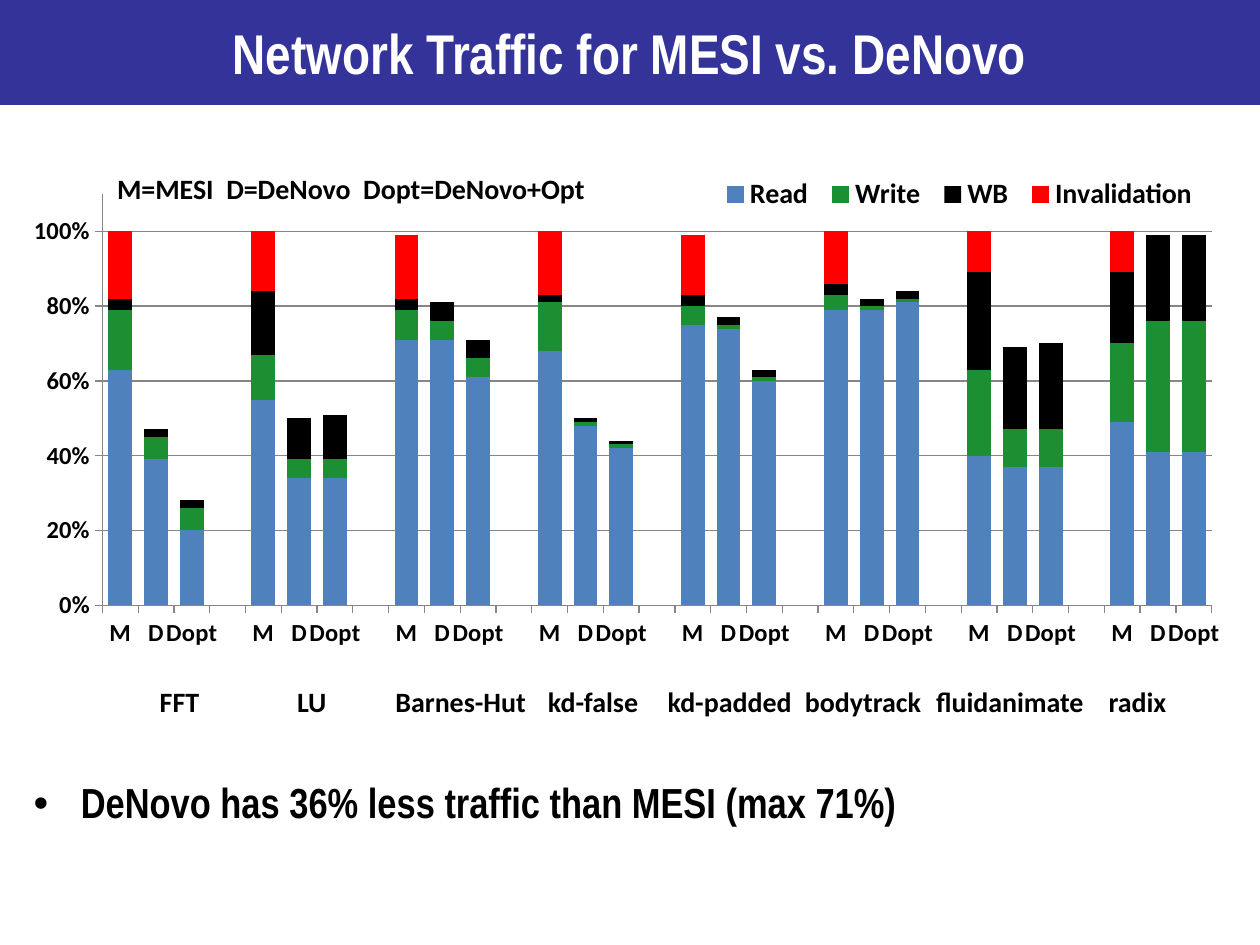
from lxml.etree import SubElement
from pptx import Presentation
from pptx.chart.data import CategoryChartData
from pptx.dml.color import RGBColor
from pptx.enum.chart import XL_CHART_TYPE as ChartType
from pptx.enum.chart import XL_LEGEND_POSITION as LegendPos
from pptx.enum.chart import XL_TICK_MARK as Tick
from pptx.enum.text import MSO_ANCHOR as Anchor
from pptx.enum.text import MSO_AUTO_SIZE as AutoSize
from pptx.enum.text import PP_ALIGN as Align
from pptx.oxml import parse_xml
from pptx.oxml.ns import nsdecls, qn
from pptx.util import Pt

NAVY = RGBColor(0x33, 0x33, 0x99)
WHITE = RGBColor(0xFF, 0xFF, 0xFF)
BLACK = RGBColor(0, 0, 0)
BLUE = RGBColor(0x4F, 0x81, 0xBD)
GREEN = RGBColor(0x1D, 0x8F, 0x33)
RED = RGBColor(0xFF, 0, 0)
GRAY = RGBColor(0x86, 0x86, 0x86)

BARS = ("M", "D", "Dopt")
BENCHMARKS = [
    ("FFT", 84.2, 37.4), ("LU", 162.7, 31.7), ("Barnes-Hut", 218.9, 90),
    ("kd-false", 306, 67), ("kd-padded", 374.4, 86.4),
    ("bodytrack", 452.9, 82.1), ("fluidanimate", 527.8, 100.1),
    ("radix", 626.4, 48.2),
]
TRAFFIC = [
    ("Read", BLUE, [(63, 39, 20), (55, 34, 34), (71, 71, 61), (68, 48, 42),
                    (75, 74, 60), (79, 79, 81), (40, 37, 37), (49, 41, 41)]),
    ("Write", GREEN, [(16, 6, 6), (12, 5, 5), (8, 5, 5), (13, 1, 1),
                      (5, 1, 1), (4, 1, 1), (23, 10, 10), (21, 35, 35)]),
    ("WB", BLACK, [(3, 2, 2), (17, 11, 12), (3, 5, 5), (2, 1, 1),
                   (3, 2, 2), (3, 2, 2), (26, 22, 23), (19, 23, 23)]),
    ("Invalidation", RED, [(m, 0, 0) for m in (18, 16, 17, 17, 16, 14, 11, 11)]),
]


def join_groups(groups, gap):
    joined = []
    for group in groups:
        joined += [*group, gap]
    return joined[:-1]


class SlideBuilder:
    heading_font = "Arial Narrow"
    label_font = "Calibri"

    def __init__(self, slide):
        self.s = slide

    def style(self, font, name, size, color=BLACK):
        font.name = name
        font.size = Pt(size)
        font.bold = True
        font.color.rgb = color

    def place(self, sp, x, y, w, h):
        sp.left, sp.top, sp.width, sp.height = Pt(x), Pt(y), Pt(w), Pt(h)

    def title(self, text, *box):
        sp = self.s.shapes.title
        self.place(sp, *box)
        sp.fill.solid()
        sp.fill.fore_color.rgb = NAVY
        tf = sp.text_frame
        tf.text = text
        tf.auto_size = AutoSize.NONE
        tf.vertical_anchor = Anchor.MIDDLE
        p = tf.paragraphs[0]
        p.alignment = Align.CENTER
        self.style(p.runs[0].font, self.heading_font, 32, WHITE)

    def bullet(self, text, *box):
        sp = self.s.placeholders[1]
        self.place(sp, *box)
        tf = sp.text_frame
        tf.text = text
        tf.auto_size = AutoSize.NONE
        p = tf.paragraphs[0]
        p.line_spacing = 0.9
        p.space_before = Pt(0)
        pPr = p._p.get_or_add_pPr()
        pPr.set("marL", str(Pt(27)))
        pPr.set("indent", str(Pt(-27)))
        SubElement(pPr, qn("a:buChar")).set("char", "•")
        self.style(p.runs[0].font, self.heading_font, 24)

    def label(self, text, x, y, w):
        sp = self.s.shapes.add_textbox(Pt(x), Pt(y), Pt(w), Pt(26.6))
        tf = sp.text_frame
        tf.text = text
        tf.word_wrap = False
        tf.auto_size = AutoSize.SHAPE_TO_FIT_TEXT
        self.style(tf.paragraphs[0].runs[0].font, self.label_font, 16)

    def set_layout(self, parent, index, target, x, y, w, h):
        for old in parent.findall(qn("c:layout")):
            parent.remove(old)
        inner = f'<c:layoutTarget val="{target}"/>' if target else ""
        parent.insert(index, parse_xml(
            f'<c:layout {nsdecls("c")}><c:manualLayout>{inner}'
            '<c:xMode val="edge"/><c:yMode val="edge"/>'
            f'<c:x val="{x}"/><c:y val="{y}"/><c:w val="{w}"/><c:h val="{h}"/>'
            '</c:manualLayout></c:layout>'))

    def axis(self, axis):
        axis.major_tick_mark = Tick.OUTSIDE
        axis.minor_tick_mark = Tick.NONE
        axis.format.line.color.rgb = GRAY
        self.style(axis.tick_labels.font, self.label_font, 14)

    def stacked_chart(self, x, y, w, h):
        data = CategoryChartData()
        data.categories = join_groups([BARS] * len(BENCHMARKS), "")
        for name, _, groups in TRAFFIC:
            data.add_series(name, join_groups(groups, None))
        chart = self.s.shapes.add_chart(
            ChartType.COLUMN_STACKED, Pt(x), Pt(y), Pt(w), Pt(h), data).chart
        chart.has_title = False
        chart.font.name = self.label_font
        chart.font.size = Pt(10)
        chart.font.color.rgb = BLACK

        plot = chart.plots[0]
        plot.gap_width = 50
        plot.overlap = 100
        plot.vary_by_categories = False
        for series, (_, color, _) in zip(plot.series, TRAFFIC):
            series.format.fill.solid()
            series.format.fill.fore_color.rgb = color

        self.axis(chart.category_axis)
        values = chart.value_axis
        self.axis(values)
        values.minimum_scale = 0
        values.maximum_scale = 110
        values.major_unit = 20
        values.has_major_gridlines = True
        values.major_gridlines.format.line.color.rgb = GRAY
        values.tick_labels.number_format = '0"%"'
        values.tick_labels.number_format_is_linked = False

        chart.has_legend = True
        legend = chart.legend
        legend.position = LegendPos.TOP
        legend.include_in_layout = False
        self.style(legend.font, self.label_font, 16)
        self.set_layout(legend._element, 1, None, 0.57, 0, 0.41, 0.08)
        plot_area = chart._chartSpace.chart.plotArea
        self.set_layout(plot_area, 0, "inner", 0.065, 0.039, 0.919, 0.8)


def main():
    prs = Presentation()
    prs.slide_width, prs.slide_height = Pt(720), Pt(540)
    b = SlideBuilder(prs.slides.add_slide(prs.slide_layouts[1]))
    b.bullet("DeNovo has 36% less traffic than MESI (max 71%)", 12, 443.5, 648, 60.5)
    b.title("Network Traffic for MESI vs. DeNovo", 0, 0, 720, 60)
    b.stacked_chart(13.7, 99.4, 689.8, 293.8)
    for name, x, w in BENCHMARKS:
        b.label(name, x, 387.4, w)
    b.label("M=MESI  D=DeNovo  Dopt=DeNovo+Opt", 59.8, 94.3, 293)
    prs.save("out.pptx")


if __name__ == "__main__":
    main()
